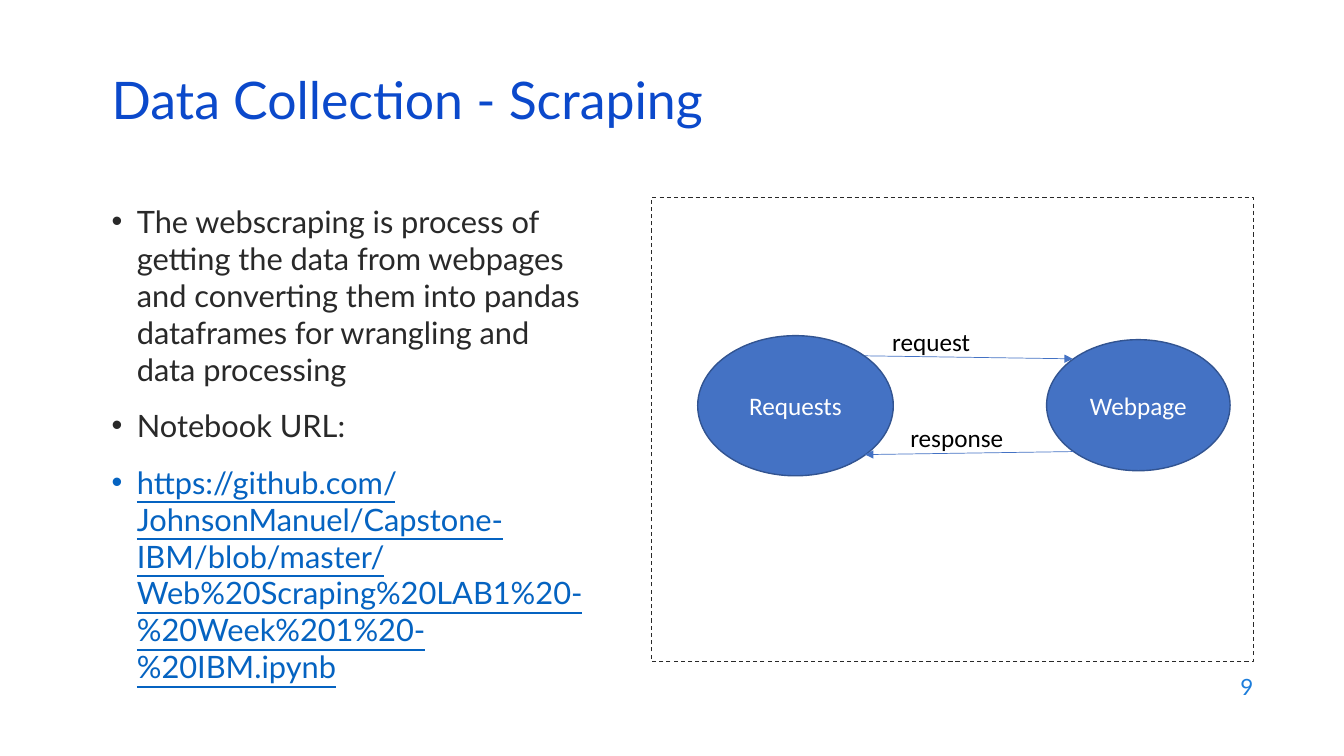
from lxml import etree
from pptx import Presentation
from pptx.dml.color import RGBColor
from pptx.enum.dml import MSO_LINE
from pptx.enum.shapes import MSO_CONNECTOR, MSO_SHAPE
from pptx.enum.text import MSO_ANCHOR, PP_ALIGN
from pptx.oxml.ns import qn
from pptx.util import Pt

PX = 9144
RECT, OVAL = MSO_SHAPE.RECTANGLE, MSO_SHAPE.OVAL
LINE, DASH = MSO_CONNECTOR.STRAIGHT, MSO_LINE.DASH
TOP, MID = MSO_ANCHOR.TOP, MSO_ANCHOR.MIDDLE
LEFT, MIDDLE, RIGHT = PP_ALIGN.LEFT, PP_ALIGN.CENTER, PP_ALIGN.RIGHT
HUES = {"title": "0B49CB", "body": "292929", "link": "0563C1", "page": "1C7DDB",
        "node": "4472C4", "edge": "325491", "label": "000000", "white": "FFFFFF"}
FONTS = {
    "title": {"name": "Lato", "size": Pt(37)},
    "body": {"name": "Lato", "size": Pt(22)},
    "link": {"name": "Lato", "size": Pt(22), "underline": True},
    "page": {"name": "Lato", "size": Pt(16)},
    "label": {"name": "Calibri", "size": Pt(18)},
    "white": {"name": "Calibri", "size": Pt(18)},
}
POINTS = [
    ("The webscraping is process of getting the data from webpages and converting "
     "them into pandas dataframes for wrangling and data processing", "body"),
    ("Notebook URL:", "body"),
    ("https://github.com/JohnsonManuel/Capstone-IBM/blob/master/"
     "Web%20Scraping%20LAB1%20-%20Week%201%20-%20IBM.ipynb", "link"),
]


def hue(name):
    """Return the named colour."""
    return RGBColor.from_string(HUES[name])


def scale(*nums):
    """Turn px lengths into EMU."""
    return [num * PX for num in nums]


def write(para, text, style):
    """Put one styled run into a paragraph."""
    run = para.add_run()
    run.text = text
    for key, value in FONTS[style].items():
        setattr(run.font, key, value)
    run.font.color.rgb = hue(style)


def add_text(slide, box, text, style, anchor=TOP, align=LEFT):
    """Add a one-paragraph text box and return its paragraph."""
    frame = slide.shapes.add_textbox(*scale(*box)).text_frame
    frame.word_wrap = True
    frame.vertical_anchor = anchor
    para = frame.paragraphs[0]
    para.alignment = align
    write(para, text, style)
    return para


def add_list(slide, box):
    """Add the bulleted points."""
    frame = slide.shapes.add_textbox(*scale(*box)).text_frame
    frame.word_wrap = True
    for i, (text, style) in enumerate(POINTS):
        para = frame.add_paragraph() if i else frame.paragraphs[0]
        props = para._p.get_or_add_pPr()
        props.set("marL", str(25 * PX))
        props.set("indent", str(-25 * PX))
        etree.SubElement(props, qn("a:buFont")).set("typeface", "Arial")
        etree.SubElement(props, qn("a:buChar")).set("char", "•")
        if i:
            para.space_before = Pt(14)
        write(para, text, style)


def add_shape(slide, kind, box, edge, width):
    """Add an outlined shape without fill or shadow."""
    shape = slide.shapes.add_shape(kind, *scale(*box))
    shape.shadow.inherit = False
    shape.fill.background()
    shape.line.color.rgb = hue(edge)
    shape.line.width = Pt(width)
    return shape


def add_node(slide, box, text):
    """Add a filled oval with its name."""
    node = add_shape(slide, OVAL, box, "edge", 1)
    node.fill.solid()
    node.fill.fore_color.rgb = hue("node")
    frame = node.text_frame
    frame.vertical_anchor = MID
    frame.paragraphs[0].alignment = MIDDLE
    write(frame.paragraphs[0], text, "white")


def add_arrow(slide, ends):
    """Add a thin arrow between two points."""
    arrow = slide.shapes.add_connector(LINE, *scale(*ends))
    arrow.line.color.rgb = hue("node")
    arrow.line.width = Pt(0.5)
    etree.SubElement(arrow.line._get_or_add_ln(), qn("a:tailEnd")).set("type", "triangle")
    etree.SubElement(arrow._element.spPr, qn("a:effectLst"))


def add_flow(slide, box):
    """Add the framed request and response diagram."""
    x, y, w, h = box
    add_shape(slide, RECT, box, "body", 0.75).line.dash_style = DASH
    add_node(slide, (x + 46, y + 137, 194, 139), "Requests")
    add_node(slide, (x + 392, y + 141, 182, 130), "Webpage")
    near, far = x + 212, x + 418
    add_arrow(slide, (near, y + 157, far, y + 160))
    add_arrow(slide, (far, y + 252, near, y + 255))
    add_text(slide, (x + 247, y + 218, 138, 40), "response", "label")
    add_text(slide, (x + 229, y + 123, 101, 40), "request", "label")


def main():
    """Build and save the slide."""
    deck = Presentation()
    deck.slide_width, deck.slide_height = scale(1333, 750)
    slide = deck.slides.add_slide(deck.slide_layouts[6])
    add_text(slide, (953, 659, 300, 44), "9", "page", MID, RIGHT)
    add_list(slide, (101, 196, 487, 417))
    title = add_text(slide, (101, 76, 1150, 60), "Data Collection - Scraping", "title", MID)
    title.line_spacing = 0.7
    add_flow(slide, (646, 196, 597, 460))
    deck.save("out.pptx")


if __name__ == "__main__":
    main()
